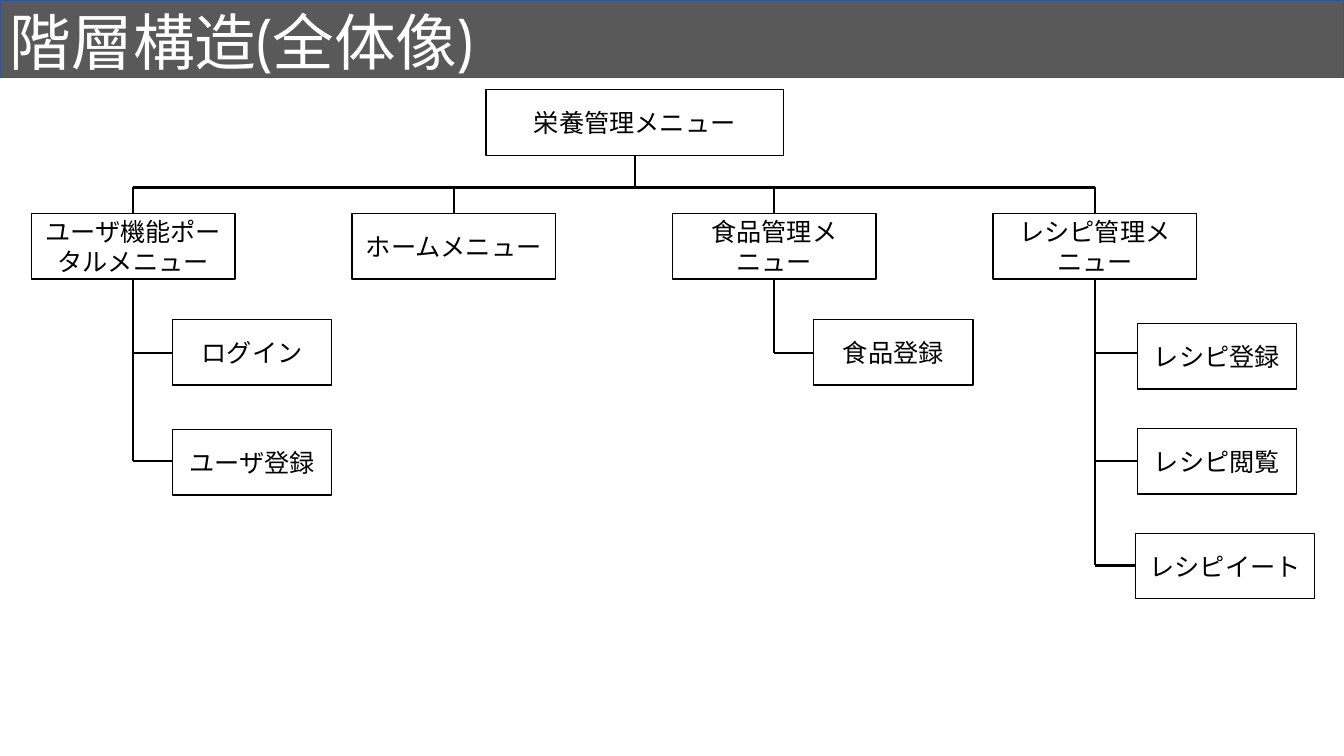
from lxml import etree
from pptx import Presentation, util as u
from pptx.dml.color import RGBColor
from pptx.enum import shapes, text
from pptx.oxml.ns import qn

WIDTH, HEIGHT = 13.33, 7.5
FONT, BLACK, WHITE = "Cabin", "000000", "FFFFFF"

# Grid of the tree, in inches
BOX_HEIGHT = 0.65
FIRST_COLUMN, COLUMN_STEP, MENU_WIDTH = 0.31, 3.18, 2.02
TRUNK_OFFSET = 1.01
ROOT_TOP, BAR_Y, MENU_TOP = 0.89, 1.86, 2.12
ROOT_LEFT, ROOT_WIDTH = 4.82, 2.95
BRANCH_ROWS = (3.5, 4.57, 5.61)

# Menu, top of its first function, step between functions,
# and each function as (label, left, width)
MENUS = [
    ("ユーザ機能ポータルメニュー", 3.17, 1.09,
     [("ログイン", 1.71, 1.58), ("ユーザ登録", 1.71, 1.58)]),
    ("ホームメニュー", 0, 0, []),
    ("食品管理メニュー", 3.17, 0, [("食品登録", 8.07, 1.58)]),
    ("レシピ管理メニュー", 3.21, 1.04,
     [("レシピ登録", 11.28, 1.58), ("レシピ閲覧", 11.28, 1.58),
      ("レシピイート", 11.26, 1.78)]),
]


def color(value):
    return RGBColor.from_string(value)


def write(shape, label, size, font_color, alignment):
    frame = shape.text_frame
    frame.word_wrap = True
    frame.vertical_anchor = text.MSO_ANCHOR.MIDDLE
    paragraph = frame.paragraphs[0]
    paragraph.text = label
    paragraph.alignment = alignment
    paragraph.font.size = u.Pt(size)
    paragraph.font.name = FONT
    paragraph.font.color.rgb = color(font_color)
    return paragraph


def add_rectangle(slide, left, top, width, height, line, fill=None):
    shape = slide.shapes.add_shape(
        shapes.MSO_SHAPE.RECTANGLE,
        *map(u.Inches, (left, top, width, height)))
    shape.shadow.inherit = False
    if fill:
        shape.fill.solid()
        shape.fill.fore_color.rgb = color(fill)
    else:
        shape.fill.background()
    shape.line.color.rgb = color(line)
    shape.line.width = u.Pt(1)
    return shape


def add_box(slide, label, left, top, width):
    box = add_rectangle(slide, left, top, width, BOX_HEIGHT, BLACK)
    write(box, label, 18, BLACK, text.PP_ALIGN.CENTER)


def add_line(slide, x1, y1, x2, y2):
    line = slide.shapes.add_connector(
        shapes.MSO_CONNECTOR.STRAIGHT, *map(u.Inches, (x1, y1, x2, y2)))
    line.line.color.rgb = color(BLACK)
    line.line.width = u.Pt(1.5)
    etree.SubElement(line._element.spPr, qn("a:effectLst"))


def add_title(slide, label):
    add_rectangle(slide, 0, 0, WIDTH, 0.77, "325491", "595959")
    title = slide.shapes.add_textbox(
        *map(u.Inches, (0, 0.07, 11.5, 0.77)))
    paragraph = write(title, label, 44, WHITE, text.PP_ALIGN.LEFT)
    paragraph.line_spacing = 0.9


def add_menu(slide, column, label, first_top, step, functions):
    left = FIRST_COLUMN + column * COLUMN_STEP
    trunk = left + TRUNK_OFFSET
    add_box(slide, label, left, MENU_TOP, MENU_WIDTH)
    add_line(slide, trunk, BAR_Y, trunk, MENU_TOP)

    # Functions hanging from the trunk
    for index, (function, function_left, width) in enumerate(functions):
        add_box(slide, function, function_left, first_top + index * step, width)
        row = BRANCH_ROWS[index]
        add_line(slide, trunk, row, function_left, row)
    if functions:
        last_row = BRANCH_ROWS[len(functions) - 1]
        add_line(slide, trunk, MENU_TOP + BOX_HEIGHT, trunk, last_row)


def main():
    presentation = Presentation()
    presentation.slide_width = u.Inches(WIDTH)
    presentation.slide_height = u.Inches(HEIGHT)
    slide = presentation.slides.add_slide(presentation.slide_layouts[6])

    add_title(slide, "階層構造(全体像)".replace("(", "(").replace(")", ")"))

    # Root and the bar that joins the menus
    add_box(slide, "栄養管理メニュー", ROOT_LEFT, ROOT_TOP, ROOT_WIDTH)
    root_middle = ROOT_LEFT + ROOT_WIDTH / 2
    add_line(slide, root_middle, ROOT_TOP + BOX_HEIGHT, root_middle, BAR_Y)
    first_trunk = FIRST_COLUMN + TRUNK_OFFSET
    last_trunk = first_trunk + (len(MENUS) - 1) * COLUMN_STEP
    add_line(slide, first_trunk, BAR_Y, last_trunk, BAR_Y)

    for column, menu in enumerate(MENUS):
        add_menu(slide, column, *menu)

    presentation.save("out.pptx")


main()
